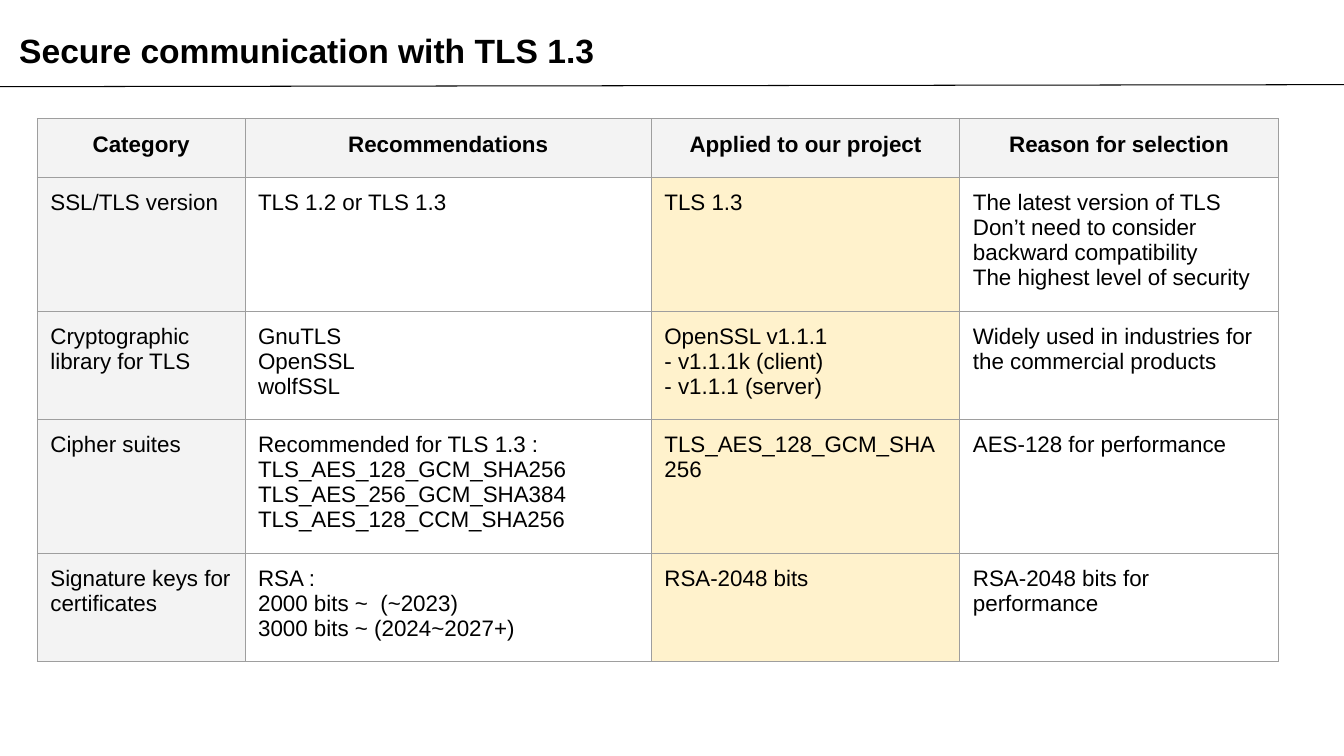
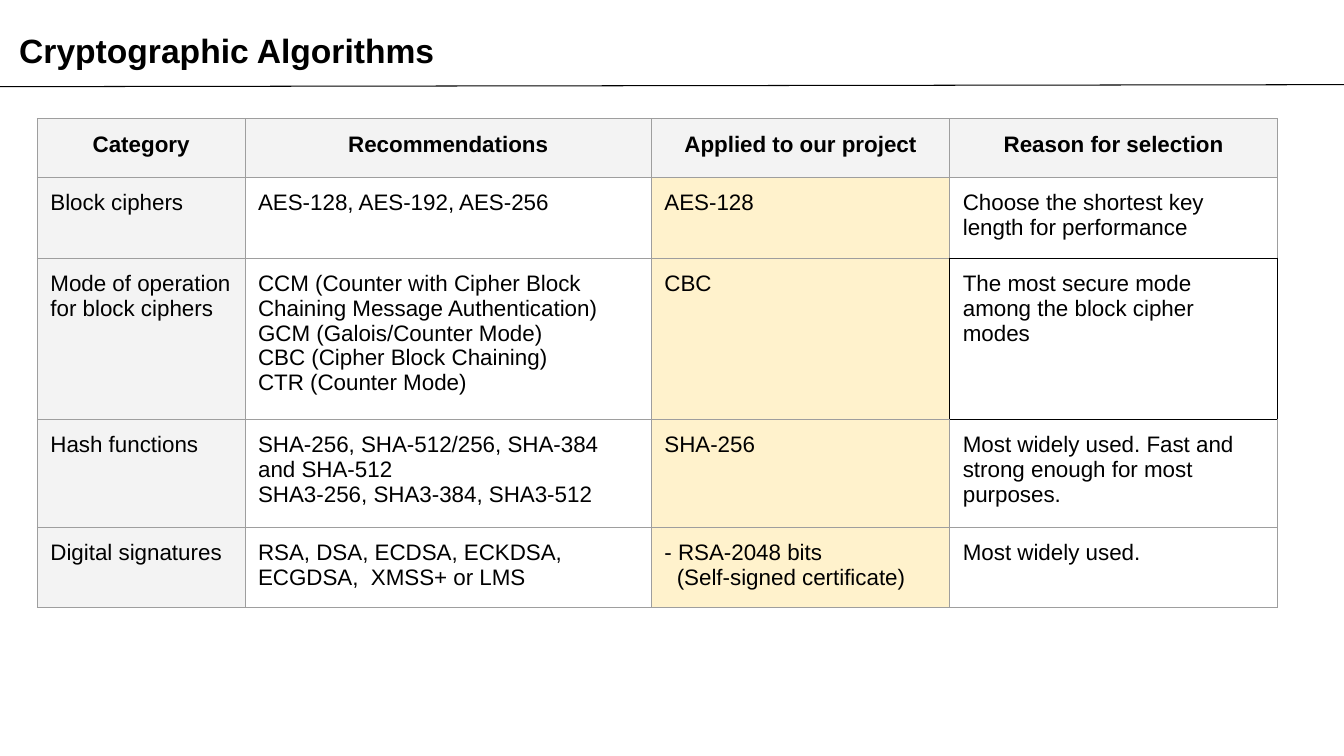
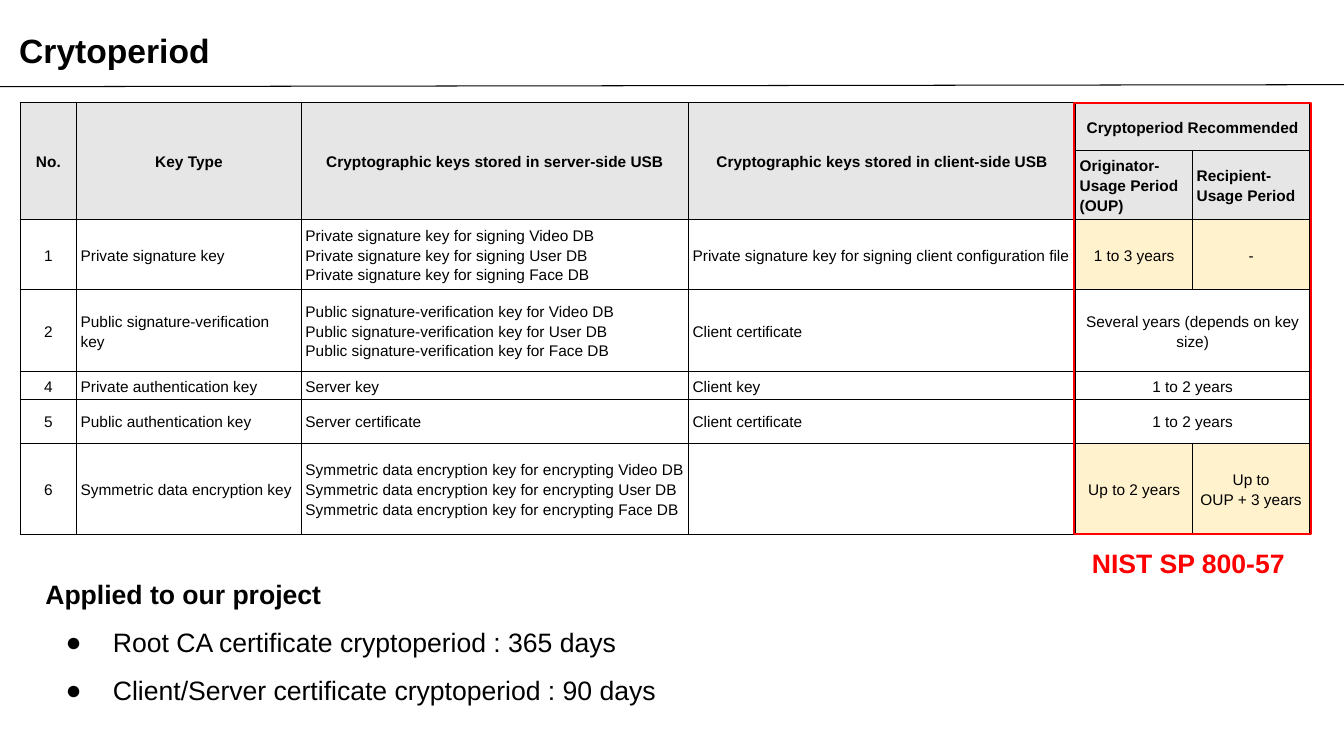
from dataclasses import dataclass

from lxml import etree
from pptx import Presentation
from pptx import util as u
from pptx.dml.color import RGBColor
from pptx.enum import shapes, text
from pptx.oxml import ns


@dataclass(frozen=True)
class Theme:
    font: str = "Arial"
    ink: str = "000000"
    alert: str = "FF0000"
    grid: str = "9E9E9E"
    label: str = "F3F3F3"
    header: str = "E7E6E6"
    applied: str = "FFF2CC"
    title_size: int = 24
    list_size: int = 19
    choice_size: int = 16
    period_size: int = 11
    hairline: float = 0.75
    frame_line: float = 1.5


THEME = Theme()
CENTER = text.PP_ALIGN.CENTER
LEFT = text.PP_ALIGN.LEFT
CHOICE_HEADINGS = ["Category", "Recommendations", "Applied to our project", "Reason for selection"]


def apply(target, formats):
    for name, value in formats.items():
        setattr(target, name, value)


def rgb(color):
    return RGBColor.from_string(color)


def place(shape, left, top, width, height):
    apply(shape, dict(zip(("left", "top", "width", "height"), map(u.Inches, (left, top, width, height)))))


def margins(horizontal, vertical):
    return {
        "margin_left": u.Inches(horizontal), "margin_right": u.Inches(horizontal),
        "margin_top": u.Inches(vertical), "margin_bottom": u.Inches(vertical),
    }


def style_paragraph(paragraph, size, bold=False, color=THEME.ink, align=LEFT, spacing=1.0):
    apply(paragraph, {"alignment": align, "line_spacing": spacing, "space_before": u.Pt(0)})
    for run in paragraph.runs:
        apply(run.font, {"name": THEME.font, "size": u.Pt(size), "bold": bold})
        run.font.color.rgb = rgb(color)


def prepare_frame(frame, horizontal, vertical):
    apply(frame, {
        "word_wrap": True, "auto_size": text.MSO_AUTO_SIZE.NONE,
        "vertical_anchor": text.MSO_ANCHOR.TOP, **margins(horizontal, vertical),
    })


def set_bullet(paragraph, bulleted):
    props = paragraph._p.get_or_add_pPr()
    props.set("marL", str(u.Inches(0.67 if bulleted else 0)))
    props.set("indent", str(u.Inches(-0.47 if bulleted else 0)))
    if bulleted:
        etree.SubElement(props, ns.qn("a:buChar")).set("char", "●")
    else:
        etree.SubElement(props, ns.qn("a:buNone"))


def add_header_rule(slide):
    rule = slide.shapes.add_connector(
        shapes.MSO_CONNECTOR.STRAIGHT, 0, u.Inches(0.86), u.Inches(13.33), u.Inches(0.84))
    rule.line.color.rgb = rgb(THEME.ink)
    rule.line.width = u.Pt(THEME.hairline)
    etree.SubElement(rule._element.spPr, ns.qn("a:effectLst"))


def start_slide(deck, layout, heading):
    slide = deck.slides.add_slide(deck.slide_layouts[layout])
    add_header_rule(slide)
    title = slide.shapes.title
    place(title, 0.09, 0.25, 6.58, 0.5)
    title.text_frame.text = heading
    prepare_frame(title.text_frame, 0.1, 0.05)
    style_paragraph(title.text_frame.paragraphs[0], THEME.title_size, bold=True)
    return slide


def set_borders(cell, color, sides="LRTB"):
    props = cell._tc.get_or_add_tcPr()
    for position, side in enumerate("LRTB"):
        if side not in sides:
            continue
        tag = ns.qn(f"a:ln{side}")
        for old in props.findall(tag):
            props.remove(old)
        edge = etree.Element(tag, w=str(u.Pt(THEME.hairline)))
        fill = etree.SubElement(edge, ns.qn("a:solidFill"))
        etree.SubElement(fill, ns.qn("a:srgbClr"), val=color)
        props.insert(position, edge)


def fill_cell(cell, words, fill, border, inset, anchor, **style):
    apply(cell, {"text": words, "vertical_anchor": anchor, **margins(*inset)})
    if fill:
        cell.fill.solid()
        cell.fill.fore_color.rgb = rgb(fill)
    else:
        cell.fill.background()
    set_borders(cell, border)
    for paragraph in cell.text_frame.paragraphs:
        style_paragraph(paragraph, **style)


def add_grid(slide, left, top, widths, heights):
    grid = slide.shapes.add_table(
        len(heights), len(widths), u.Inches(left), u.Inches(top),
        u.Inches(sum(widths)), u.Inches(sum(heights))).table
    apply(grid, {"first_row": False, "horz_banding": False})
    for column, width in zip(grid.columns, widths):
        column.width = u.Inches(width)
    for row, height in zip(grid.rows, heights):
        row.height = u.Inches(height)
    return grid


def add_choice_table(slide, widths, heights, rows):
    grid = add_grid(slide, 0.37, 1.18, widths, heights)
    column_fills = [THEME.label, None, THEME.applied, None]
    for r, row in enumerate([CHOICE_HEADINGS] + rows):
        heading = r == 0
        for c, words in enumerate(row):
            fill_cell(
                grid.cell(r, c), words, THEME.label if heading else column_fills[c],
                THEME.grid, (0.13, 0.13), text.MSO_ANCHOR.TOP, size=THEME.choice_size,
                bold=heading, align=CENTER if heading else LEFT)
    return grid


def outline_cell(grid, r, c):
    set_borders(grid.cell(r, c), THEME.ink)
    set_borders(grid.cell(r - 1, c), THEME.ink, "B")
    set_borders(grid.cell(r + 1, c), THEME.ink, "T")
    set_borders(grid.cell(r, c - 1), THEME.ink, "R")


def add_period_table(slide, rows):
    grid = add_grid(
        slide, 0.2, 1.02, [0.56, 2.23, 3.84, 3.84, 1.16, 1.16],
        [0.47, 0.69, 0.69, 0.82, 0.27, 0.44, 0.9])
    for r, row in enumerate(rows):
        heading = r < 2
        split_period = bool(row[5])
        for c, words in enumerate(row):
            if heading:
                fill = THEME.header
            else:
                fill = THEME.applied if c > 3 and split_period else None
            centered = r == 0 or (r > 1 and c in (0, 4, 5))
            fill_cell(
                grid.cell(r, c), words, fill, THEME.ink, (0.04, 0.03), text.MSO_ANCHOR.MIDDLE,
                size=THEME.period_size, bold=heading, align=CENTER if centered else LEFT, spacing=1.15)
        if not split_period:
            grid.cell(r, 4).merge(grid.cell(r, 5))
    for c in range(4):
        grid.cell(0, c).merge(grid.cell(1, c))


def add_applied_list(slide, lines):
    body = slide.placeholders[1]
    place(body, 0.32, 5.45, 8.61, 1.55)
    body.text_frame.text = "\n".join(lines)
    prepare_frame(body.text_frame, 0.13, 0.13)
    for i, paragraph in enumerate(body.text_frame.paragraphs):
        style_paragraph(paragraph, THEME.list_size, bold=i == 0, spacing=1.5)
        set_bullet(paragraph, i > 0)


def add_standard_label(slide, words):
    label = slide.shapes.add_textbox(*map(u.Inches, (10.7, 5.3, 2.26, 0.59)))
    label.text_frame.text = words
    prepare_frame(label.text_frame, 0.13, 0.13)
    style_paragraph(label.text_frame.paragraphs[0], THEME.list_size, bold=True, color=THEME.alert)


def add_period_frame(slide):
    frame = slide.shapes.add_shape(
        shapes.MSO_SHAPE.RECTANGLE, *map(u.Inches, (10.65, 1.02, 2.35, 4.28)))
    frame.shadow.inherit = False
    frame.fill.background()
    frame.line.color.rgb = rgb(THEME.alert)
    frame.line.width = u.Pt(THEME.frame_line)


def per_database(purpose):
    return "\n".join(f"{purpose} {name} DB" for name in ("Video", "User", "Face"))


def build_tls(deck):
    slide = start_slide(deck, 5, "Secure communication with TLS 1.3")
    add_choice_table(slide, [2.06, 4.03, 3.06, 3.16], [0.58, 1.33, 1.07, 1.33, 1.07], [
        ["SSL/TLS version", "TLS 1.2 or TLS 1.3", "TLS 1.3",
         "The latest version of TLS\nDon’t need to consider backward compatibility\n"
         "The highest level of security"],
        ["Cryptographic library for TLS", "GnuTLS\nOpenSSL\nwolfSSL",
         "OpenSSL v1.1.1\n- v1.1.1k (client)\n- v1.1.1 (server)",
         "Widely used in industries for the commercial products"],
        ["Cipher suites",
         "Recommended for TLS 1.3 :\nTLS_AES_128_GCM_SHA256\nTLS_AES_256_GCM_SHA384\n"
         "TLS_AES_128_CCM_SHA256",
         "TLS_AES_128_GCM_SHA256", "AES-128 for performance"],
        ["Signature keys for certificates",
         "RSA :\n2000 bits ~  (~2023)\n3000 bits ~ (2024~2027+)",
         "RSA-2048 bits", "RSA-2048 bits for performance"],
    ])


def build_algorithms(deck):
    slide = start_slide(deck, 5, "Cryptographic Algorithms")
    grid = add_choice_table(slide, [2.06, 4.03, 2.96, 3.25], [0.58, 0.8, 1.6, 1.07, 0.8], [
        ["Block ciphers", "AES-128, AES-192, AES-256", "AES-128",
         "Choose the shortest key length for performance"],
        ["Mode of operation for block ciphers",
         "CCM (Counter with Cipher Block Chaining Message Authentication)\n"
         "GCM (Galois/Counter Mode)\nCBC (Cipher Block Chaining)\nCTR (Counter Mode)",
         "CBC", "The most secure mode among the block cipher modes"],
        ["Hash functions",
         "SHA-256, SHA-512/256, SHA-384 and SHA-512\nSHA3-256, SHA3-384, SHA3-512",
         "SHA-256", "Most widely used. Fast and strong enough for most purposes."],
        ["Digital signatures", "RSA, DSA, ECDSA, ECKDSA, ECGDSA,  XMSS+ or LMS",
         "- RSA-2048 bits\n  (Self-signed certificate)", "Most widely used."],
    ])
    outline_cell(grid, 2, 3)


def build_cryptoperiod(deck):
    slide = start_slide(deck, 1, "Crytoperiod")
    add_applied_list(slide, [
        "Applied to our project",
        "Root CA certificate cryptoperiod : 365 days",
        "Client/Server certificate cryptoperiod : 90 days",
    ])
    add_standard_label(slide, "NIST SP 800-57")
    add_period_table(slide, [
        ["No.", "Key Type", "Cryptographic keys stored in server-side USB",
         "Cryptographic keys stored in client-side USB", "Cryptoperiod Recommended", ""],
        ["", "", "", "", "Originator-Usage Period (OUP)", "Recipient-Usage Period"],
        ["1", "Private signature key", per_database("Private signature key for signing"),
         "Private signature key for signing client configuration file", "1 to 3 years", "-"],
        ["2", "Public signature-verification key",
         per_database("Public signature-verification key for"),
         "Client certificate", "Several years (depends on key size)", ""],
        ["4", "Private authentication key", "Server key", "Client key", "1 to 2 years", ""],
        ["5", "Public authentication key", "Server certificate", "Client certificate",
         "1 to 2 years", ""],
        ["6", "Symmetric data encryption key",
         per_database("Symmetric data encryption key for encrypting"), "",
         "Up to 2 years", "Up to\nOUP + 3 years"],
    ])
    add_period_frame(slide)


def main():
    deck = Presentation()
    apply(deck, {"slide_width": u.Inches(13.33), "slide_height": u.Inches(7.5)})
    for build in (build_tls, build_algorithms, build_cryptoperiod):
        build(deck)
    deck.save("out.pptx")


if __name__ == "__main__":
    main()
